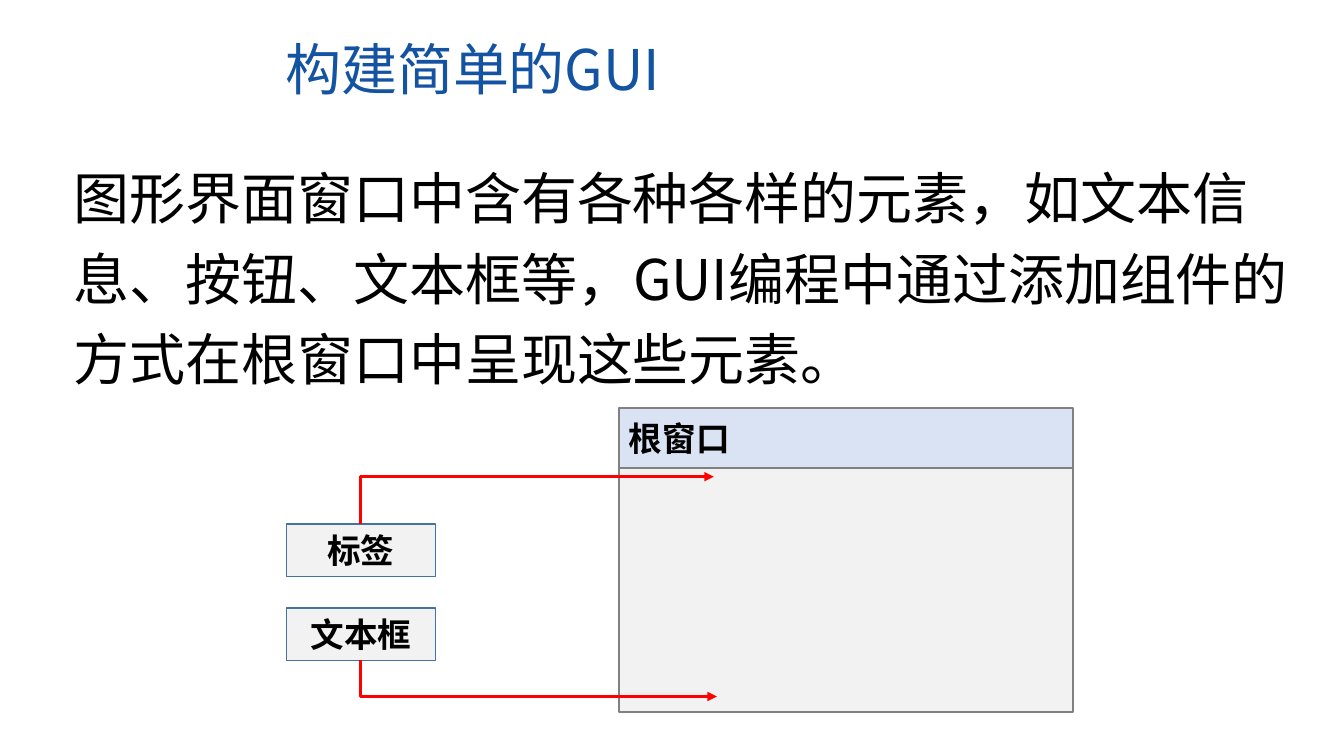
"""Build a slide on adding components to the root window of a GUI."""
import pptx
import pptx.util
import pptx.dml.color
import pptx.enum.shapes
import pptx.enum.text
import pptx.oxml.ns
import lxml.etree

Inches, Pt = pptx.util.Inches, pptx.util.Pt
RGBColor = pptx.dml.color.RGBColor
qn = pptx.oxml.ns.qn
PP_ALIGN = pptx.enum.text.PP_ALIGN

FONT = "Noto Sans CJK SC"
BLUE = RGBColor(0x13, 0x53, 0xA2)
BLACK = RGBColor(0, 0, 0)
LIGHT = RGBColor(0xF2, 0xF2, 0xF2)
PALE_BLUE = RGBColor(0xDA, 0xE3, 0xF3)
GRAY = RGBColor(0x80, 0x80, 0x80)
EDGE = RGBColor(0x43, 0x73, 0x9E)
RED = RGBColor(0xFF, 0, 0)


def write(sp, text, size, color, bold=False, align=PP_ALIGN.LEFT):
    tf = sp.text_frame
    tf.word_wrap = True
    p = tf.paragraphs[0]
    p.text = text
    p.alignment = align
    p.font.size = Pt(size)
    p.font.bold = bold
    p.font.color.rgb = color
    p.font.name = FONT
    latin = p._p.pPr.find(qn("a:defRPr")).find(qn("a:latin"))
    ea = lxml.etree.Element(qn("a:ea"), typeface=FONT)
    latin.addnext(ea)
    return p


def add_box(x, y, w, h, fill, line, width):
    sp = s.shapes.add_shape(pptx.enum.shapes.MSO_SHAPE.RECTANGLE,
                            Inches(x), Inches(y), Inches(w), Inches(h))
    sp.shadow.inherit = False
    sp.fill.solid()
    sp.fill.fore_color.rgb = fill
    sp.line.color.rgb = line
    sp.line.width = Pt(width)
    sp.text_frame.vertical_anchor = pptx.enum.text.MSO_ANCHOR.MIDDLE
    return sp


prs = pptx.Presentation()
prs.slide_width, prs.slide_height = Inches(13.33), Inches(7.5)
s = prs.slides.add_slide(prs.slide_layouts[6])

title = s.shapes.add_textbox(Inches(2.73), Inches(0.29), Inches(5.88), Inches(0.77))
write(title, "构建简单的GUI", 40, BLUE)

body = s.shapes.add_textbox(Inches(0.63), Inches(1.44), Inches(12.29), Inches(2.52))
p = write(body, "图形界面窗口中含有各种各样的元素，如文本信息、按钮、文本框等，"
          "GUI编程中通过添加组件的方式在根窗口中呈现这些元素。", 40, BLACK)
p.line_spacing = 1.2

add_box(6.14, 4.64, 4.5, 2.42, LIGHT, GRAY, 1.5)
title_bar = add_box(6.14, 4.05, 4.5, 0.59, PALE_BLUE, GRAY, 1.5)
write(title_bar, "根窗口", 24, BLACK, True)

box_x, box_w, box_h = 2.84, 1.48, 0.52
start_x = box_x + box_w / 2
for name, y, start_y, end_x, end_y in [("标签", 5.2, 5.2, 7.08, 4.73),
                                       ("文本框", 6.03, 6.03 + box_h, 7.11, 6.91)]:
    sp = add_box(box_x, y, box_w, box_h, LIGHT, EDGE, 1)
    write(sp, name, 24, BLACK, True, PP_ALIGN.CENTER)

    up = end_y < start_y
    center_x, center_y = (start_x + end_x) / 2, (start_y + end_y) / 2
    half_w, half_h = abs(end_y - start_y) / 2, (end_x - start_x) / 2
    side = 1 if up else -1
    arrow = s.shapes.add_connector(
        pptx.enum.shapes.MSO_CONNECTOR.ELBOW,
        Inches(center_x + half_w), Inches(center_y + side * half_h),
        Inches(center_x - half_w), Inches(center_y - side * half_h))
    arrow.line.color.rgb = RED
    arrow.line.width = Pt(2.25)
    spPr = arrow._element.spPr
    spPr.find(qn("a:xfrm")).set("rot", str((90 if up else 270) * 60000))
    spPr.find(qn("a:prstGeom")).set("prst", "bentConnector2")
    lxml.etree.SubElement(spPr.find(qn("a:ln")), qn("a:tailEnd"), type="triangle")
    lxml.etree.SubElement(spPr, qn("a:effectLst"))

prs.save("out.pptx")
